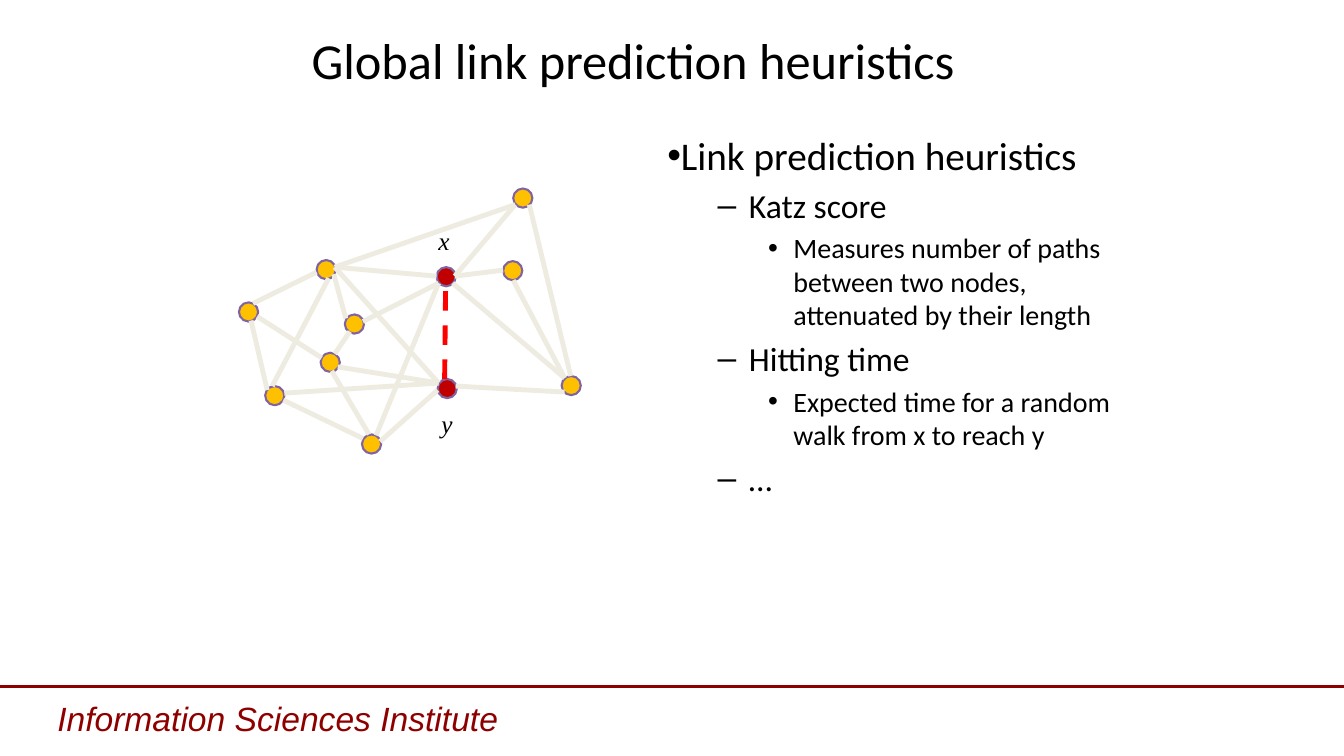
"""Build the slide on global link prediction heuristics."""
from dataclasses import dataclass

from lxml import etree
from pptx import Presentation
from pptx import util as u
from pptx.dml.color import RGBColor
from pptx.enum import dml, shapes, text
from pptx.oxml.ns import qn

COLUMNS, ROWS = 133.3, 75
WIDTH, HEIGHT = u.Inches(13.33), u.Inches(7.5)
NODE_SIZE = 1.9
MAROON, BLACK, GOLD, RED = "8E0000", "000000", "FFC000", "C00000"
PURPLE, EDGE_GREY, BRIGHT_RED = "8064A2", "EEECE1", "FF0000"


@dataclass
class Node:
    left: float
    top: float
    fill: str = GOLD
    tilt: float = 0


@dataclass
class Line:
    x1: float
    y1: float
    x2: float
    y2: float
    colour: str = EDGE_GREY
    weight: float = 3.5
    dashed: bool = False


@dataclass
class Label:
    words: str
    left: float
    top: float
    width: float
    height: float
    size: float
    font: str
    colour: str = BLACK
    italic: bool = True
    centred: bool = False


@dataclass
class Level:
    bullet: str
    margin: float
    indent: float
    size: float
    space_before: float


TILT = 30.9
NODES = [
    Node(49.9, 25.9), Node(43.3, 26.5, RED), Node(55.7, 37.3), Node(50.9, 18.7),
    Node(31.4, 25.8, tilt=TILT), Node(34.2, 31.2, tilt=TILT),
    Node(43.4, 37.6, RED, TILT), Node(31.8, 35, tilt=TILT),
    Node(26.3, 38.3, tilt=TILT), Node(23.7, 30, tilt=TILT),
    Node(35.9, 43.1, tilt=TILT),
]
EDGES = [
    Line(44.9, 28.1, 56, 37.5), Line(45.1, 27.4, 49.9, 26.8),
    Line(52.5, 20.3, 56.6, 37.3), Line(31.4, 27, 25.1, 30.1),
    Line(33.1, 27.2, 34.3, 31.6), Line(32.6, 27.6, 27, 38.3),
    Line(28.1, 39.7, 36, 43.5), Line(28.2, 39, 43.5, 38),
    Line(25.5, 31.4, 31.9, 35.5), Line(24.9, 31.8, 26.5, 38.7),
    Line(43.5, 38, 33.5, 36.4), Line(34.7, 32.9, 33.2, 35.1),
    Line(33.2, 26.5, 43.5, 38), Line(43.4, 38.7, 37.7, 43.8),
    Line(36.6, 43.1, 32.9, 36.8), Line(33.2, 26.5, 43.3, 27.4),
    Line(36, 31.9, 43.5, 28.1), Line(45.2, 38.3, 56, 38.9),
    Line(44.1, 37.6, 44.2, 28.4, BRIGHT_RED, dashed=True),
    Line(33.2, 26.5, 51.1, 20.3), Line(45.1, 27.4, 51.1, 20.3),
    Line(50.9, 27.8, 56, 37.5), Line(37.3, 43.2, 43.5, 28.1),
]
FOOTER_RULE = Line(0, 68.1, COLUMNS, 68.1, MAROON, 2.25)
FOOTER = Label("Information Sciences Institute", 4.7, 68.7, 65.7, 5.1, 24, "Arial", MAROON)
TITLE = Label("Global link prediction heuristics", 6.7, 2.4, 112.2, 7, 36, "Calibri",
              italic=False, centred=True)
NODE_NAMES = [
    Label("x", 42.5, 21.9, 3.1, 4, 18, "Times New Roman"),
    Label("y", 42.8, 40, 3.1, 4, 18, "Times New Roman"),
]
LEVELS = [
    Level("•", 0, -1.9, 28, 0),
    Level("–", 8.1, -3.1, 24, 4.8),
    Level("•", 12.5, -2.5, 20, 4),
]
OUTLINE = [
    (0, "Link prediction heuristics"),
    (1, "Katz score"),
    (2, "Measures number of paths between two nodes, attenuated by their length"),
    (1, "Hitting time"),
    (2, "Expected time for a random walk from x to reach y"),
    (1, "…"),
]


def across(columns: float) -> int:
    """Turn grid columns into a length."""
    return round(WIDTH * columns / COLUMNS)


def down(rows: float) -> int:
    """Turn grid rows into a length."""
    return round(HEIGHT * rows / ROWS)


def rgb(colour: str) -> RGBColor:
    """Turn a hex string into a colour."""
    return RGBColor.from_string(colour)


def draw_node(slide, node: Node) -> None:
    """Draw one circle of the graph."""
    shape = slide.shapes.add_shape(
        shapes.MSO_SHAPE.OVAL, across(node.left), down(node.top),
        across(NODE_SIZE), down(NODE_SIZE))
    shape.shadow.inherit = False
    shape.rotation = node.tilt
    shape.fill.solid()
    shape.fill.fore_color.rgb = rgb(node.fill)
    shape.line.color.rgb = rgb(PURPLE)
    shape.line.width = u.Pt(1.5)


def draw_line(slide, line: Line) -> None:
    """Draw one straight line without a shadow."""
    connector = slide.shapes.add_connector(
        shapes.MSO_CONNECTOR.STRAIGHT, across(line.x1), down(line.y1),
        across(line.x2), down(line.y2))
    connector.line.color.rgb = rgb(line.colour)
    connector.line.width = u.Pt(line.weight)
    if line.dashed:
        connector.line.dash_style = dml.MSO_LINE.DASH
    etree.SubElement(connector._element.spPr, qn("a:effectLst"))


def draw_label(slide, label: Label) -> None:
    """Draw one line of text in a box."""
    box = slide.shapes.add_textbox(
        across(label.left), down(label.top), across(label.width), down(label.height))
    frame = box.text_frame
    frame.word_wrap = True
    paragraph = frame.paragraphs[0]
    paragraph.text = label.words
    if label.centred:
        frame.vertical_anchor = text.MSO_ANCHOR.MIDDLE
        paragraph.alignment = text.PP_ALIGN.CENTER
    paragraph.font.name = label.font
    paragraph.font.size = u.Pt(label.size)
    paragraph.font.italic = label.italic
    paragraph.font.color.rgb = rgb(label.colour)


def add_bullet(paragraph, level: Level) -> None:
    """Give a paragraph its hanging bullet."""
    properties = paragraph._p.get_or_add_pPr()
    properties.set("marL", str(across(level.margin)))
    properties.set("indent", str(across(level.indent)))
    colour = etree.SubElement(properties, qn("a:buClr"))
    etree.SubElement(colour, qn("a:srgbClr"), val=BLACK)
    etree.SubElement(properties, qn("a:buFont"), typeface="Arial")
    etree.SubElement(properties, qn("a:buChar"), char=level.bullet)


def draw_outline(slide) -> None:
    """Draw the bulleted list of heuristics."""
    box = slide.shapes.add_textbox(across(65.2), down(12.5), across(49.8), down(57.2))
    frame = box.text_frame
    frame.word_wrap = True
    for index, (depth, words) in enumerate(OUTLINE):
        paragraph = frame.add_paragraph() if index else frame.paragraphs[0]
        level = LEVELS[depth]
        paragraph.text = words
        paragraph.level = depth
        paragraph.space_before = u.Pt(level.space_before)
        add_bullet(paragraph, level)
        paragraph.font.name = "Calibri"
        paragraph.font.size = u.Pt(level.size)
        paragraph.font.color.rgb = rgb(BLACK)


def main() -> None:
    """Build and save the presentation."""
    presentation = Presentation()
    presentation.slide_width, presentation.slide_height = WIDTH, HEIGHT
    slide = presentation.slides.add_slide(presentation.slide_layouts[6])
    draw_line(slide, FOOTER_RULE)
    draw_label(slide, FOOTER)
    draw_label(slide, TITLE)
    draw_outline(slide)
    for node in NODES:
        draw_node(slide, node)
    for edge in EDGES:
        draw_line(slide, edge)
    for name in NODE_NAMES:
        draw_label(slide, name)
    presentation.save("out.pptx")


if __name__ == "__main__":
    main()
